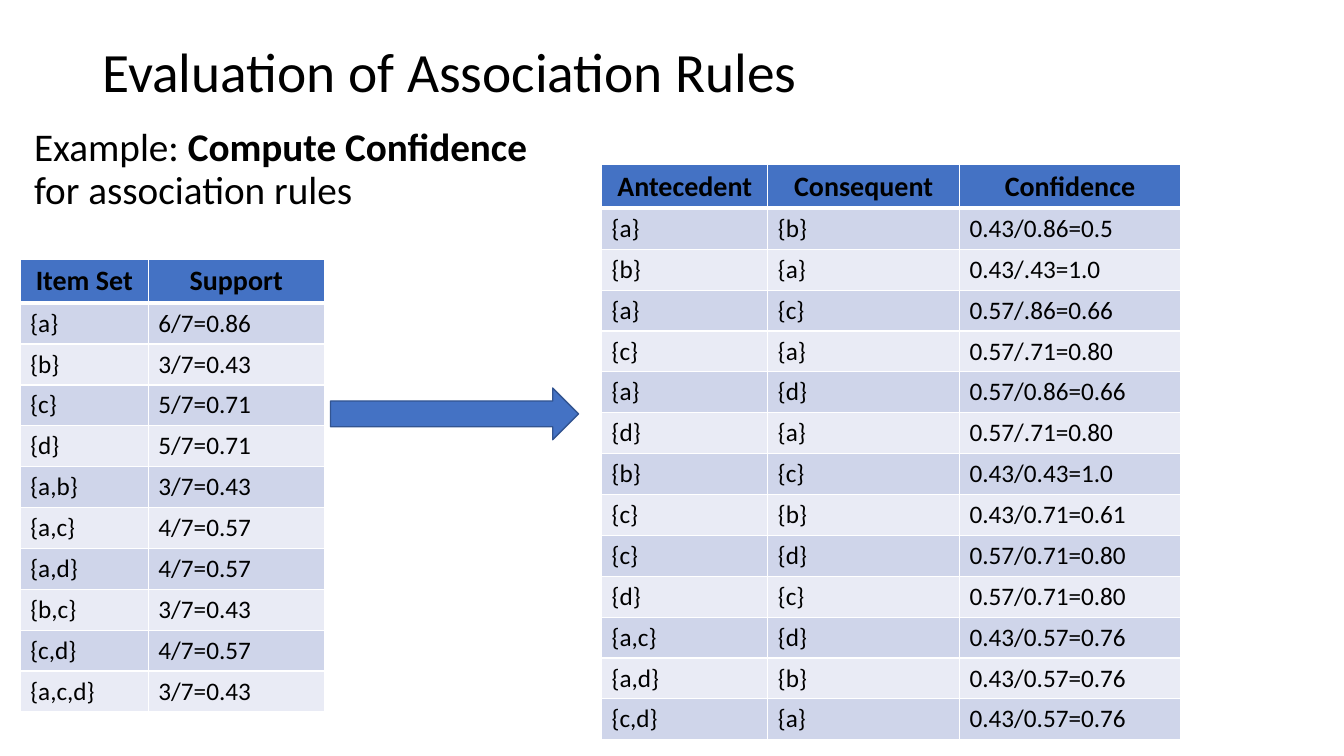
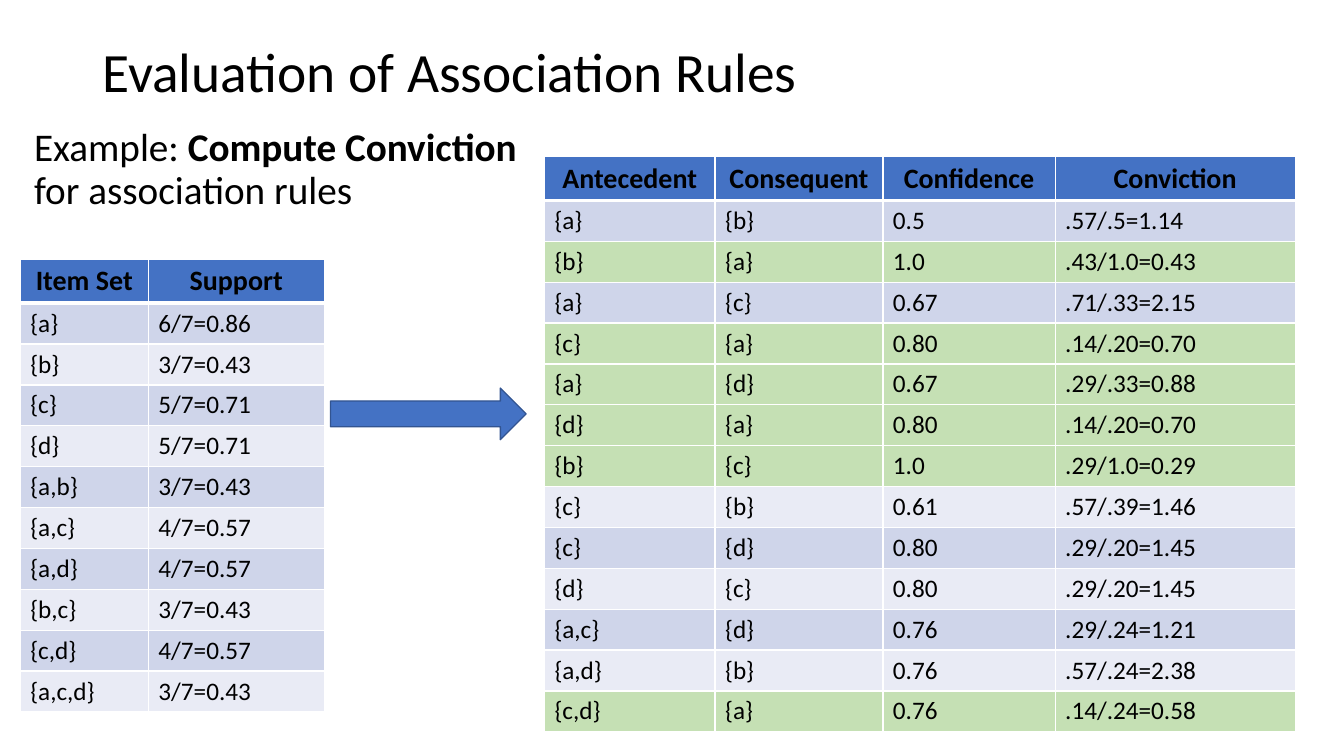
from lxml import etree
from pptx import Presentation
from pptx.dml.color import RGBColor
from pptx.enum import shapes, text
from pptx.oxml import ns
from pptx.util import Cm, Pt

BLACK = RGBColor(0x00, 0x00, 0x00)
WHITE = RGBColor(0xFF, 0xFF, 0xFF)
BLUE = RGBColor(0x44, 0x72, 0xC4)
DARK_BLUE = RGBColor(0x32, 0x54, 0x91)
BANDS = (RGBColor(0xCF, 0xD5, 0xEA), RGBColor(0xE9, 0xEB, 0xF5))
GREEN = RGBColor(0xC5, 0xE0, 0xB4)

TITLE_FONT = {"name": "Calibri", "size": Pt(39.6), "bold": False}
LEAD_FONT = {"name": "Calibri", "size": Pt(28), "bold": False}
HEAD_FONT = {"name": "Calibri", "size": Pt(20), "bold": True}
CELL_FONT = {"name": "Calibri", "size": Pt(18), "bold": False}

HEAD_HEIGHT, ROW_HEIGHT = 1.11, 1.03  # centimetres

SUPPORT = [
    ("Item Set", "Support"),
    ("{a}", "6/7=0.86"), ("{b}", "3/7=0.43"), ("{c}", "5/7=0.71"),
    ("{d}", "5/7=0.71"), ("{a,b}", "3/7=0.43"), ("{a,c}", "4/7=0.57"),
    ("{a,d}", "4/7=0.57"), ("{b,c}", "3/7=0.43"), ("{c,d}", "4/7=0.57"),
    ("{a,c,d}", "3/7=0.43"),
]
RULES = [
    ("Antecedent", "Consequent"),
    ("{a}", "{b}"), ("{b}", "{a}"), ("{a}", "{c}"), ("{c}", "{a}"),
    ("{a}", "{d}"), ("{d}", "{a}"), ("{b}", "{c}"), ("{c}", "{b}"),
    ("{c}", "{d}"), ("{d}", "{c}"), ("{a,c}", "{d}"), ("{a,d}", "{b}"),
    ("{c,d}", "{a}"),
]
CONFIDENCE_SUMS = [
    "Confidence", "0.43/0.86=0.5", "0.43/.43=1.0", "0.57/.86=0.66",
    "0.57/.71=0.80", "0.57/0.86=0.66", "0.57/.71=0.80", "0.43/0.43=1.0",
    "0.43/0.71=0.61", "0.57/0.71=0.80", "0.57/0.71=0.80",
    "0.43/0.57=0.76", "0.43/0.57=0.76", "0.43/0.57=0.76",
]
CONFIDENCES = ["Confidence", "0.5", "1.0", "0.67", "0.80", "0.67", "0.80",
               "1.0", "0.61", "0.80", "0.80", "0.76", "0.76", "0.76"]
CONVICTION_SUMS = [
    "Conviction", ".57/.5=1.14", ".43/1.0=0.43", ".71/.33=2.15",
    ".14/.20=0.70", ".29/.33=0.88", ".14/.20=0.70", ".29/1.0=0.29",
    ".57/.39=1.46", ".29/.20=1.45", ".29/.20=1.45", ".29/.24=1.21",
    ".57/.24=2.38", ".14/.24=0.58",
]


def add_run(paragraph, words, formats, **changes):
    run = paragraph.add_run()
    run.text = words
    for key, value in {**formats, **changes}.items():
        setattr(run.font, key, value)
    run.font.color.rgb = BLACK


def add_text(slide, box, runs, formats, anchor, space_before=0):
    """Place one paragraph made of (words, bold) runs in a box."""
    frame = slide.shapes.add_textbox(*map(Cm, box)).text_frame
    frame.word_wrap = True
    frame.vertical_anchor = anchor
    paragraph = frame.paragraphs[0]
    paragraph.line_spacing = 0.9
    paragraph.space_before = Pt(space_before)
    for words, bold in runs:
        add_run(paragraph, words, formats, bold=bold)


def set_borders(cell, widths):
    """Draw white cell borders; widths maps a side to points."""
    properties = cell._tc.get_or_add_tcPr()
    for side, width in widths.items():
        line = etree.SubElement(properties, ns.qn(f"a:ln{side}"), w=str(Pt(width)))
        fill = etree.SubElement(line, ns.qn("a:solidFill"))
        etree.SubElement(fill, ns.qn("a:srgbClr"), val=str(WHITE))


def add_data_table(slide, left, top, widths, rows, is_marked=lambda row: False):
    """Place a banded table; marked rows turn green."""
    height = HEAD_HEIGHT + ROW_HEIGHT * (len(rows) - 1)
    table = slide.shapes.add_table(
        len(rows), len(widths), Cm(left), Cm(top), Cm(sum(widths)), Cm(height)).table
    for column, width in zip(table.columns, widths):
        column.width = Cm(width)
    for index, row in enumerate(rows):
        is_head = index == 0
        table.rows[index].height = Cm(HEAD_HEIGHT if is_head else ROW_HEIGHT)
        if is_head:
            color = BLUE
        else:
            color = GREEN if is_marked(row) else BANDS[(index - 1) % 2]
        for cell, words in zip(table.rows[index].cells, row):
            set_borders(cell, {"L": 1, "R": 1, "T": 3 if index == 1 else 1,
                               "B": 3 if is_head else 1})
            cell.fill.solid()
            cell.fill.fore_color.rgb = color
            paragraph = cell.text_frame.paragraphs[0]
            if is_head:
                paragraph.alignment = text.PP_ALIGN.CENTER
            add_run(paragraph, words, HEAD_FONT if is_head else CELL_FONT)


def add_arrow(slide, left, top, width, height):
    arrow = slide.shapes.add_shape(
        shapes.MSO_SHAPE.RIGHT_ARROW, *map(Cm, (left, top, width, height)))
    arrow.shadow.inherit = False
    arrow.fill.solid()
    arrow.fill.fore_color.rgb = BLUE
    arrow.line.color.rgb = DARK_BLUE
    arrow.line.width = Pt(1)


def add_measure_slide(deck, measure, arrow_width):
    """Add the title, lead text, support table and arrow."""
    slide = deck.slides.add_slide(deck.slide_layouts[6])
    add_text(slide, (2.33, 1.02, 29.21, 1.73),
             [("Evaluation of Association Rules", False)],
             TITLE_FONT, text.MSO_ANCHOR.MIDDLE)
    add_text(slide, (0.61, 3.1, 13.56, 3.07),
             [("Example: ", False), (f"Compute {measure} ", True),
              ("for association rules", False)],
             LEAD_FONT, text.MSO_ANCHOR.TOP, space_before=10)
    add_data_table(slide, 0.51, 6.53, (3.23, 4.43), SUPPORT)
    add_arrow(slide, 8.33, 9.78, arrow_width, 1.3)
    return slide


def has_low_conviction(row):
    return float(row[-1].split("=")[1]) < 1


def main():
    deck = Presentation()
    deck.slide_width, deck.slide_height = Cm(33.87), Cm(19.05)

    # Confidence of each rule
    slide = add_measure_slide(deck, "Confidence", 6.25)
    rows = [(*rule, total) for rule, total in zip(RULES, CONFIDENCE_SUMS)]
    add_data_table(slide, 15.16, 4.14, (4.19, 4.83, 5.57), rows)

    # Conviction of each rule, with values below one marked
    slide = add_measure_slide(deck, "Conviction", 4.93)
    rows = [(*rule, confidence, total) for rule, confidence, total
            in zip(RULES, CONFIDENCES, CONVICTION_SUMS)]
    add_data_table(slide, 13.72, 3.94, (4.3, 4.23, 4.34, 6.05), rows,
                   has_low_conviction)

    deck.save("out.pptx")


if __name__ == "__main__":
    main()
